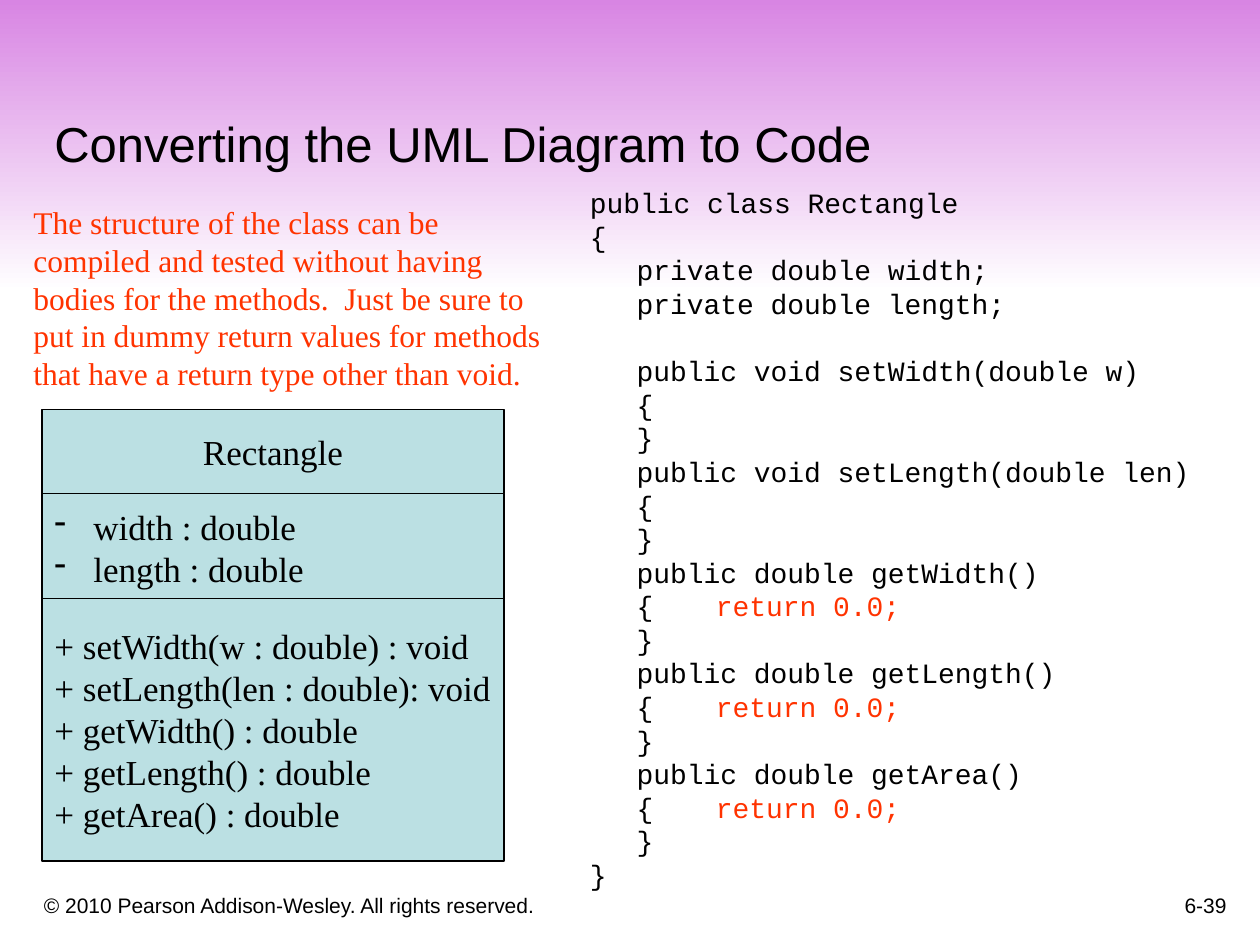
from pptx import Presentation
from pptx.dml.color import RGBColor
from pptx.enum.shapes import MSO_SHAPE
from pptx.enum.text import MSO_ANCHOR, PP_ALIGN
from pptx.oxml.xmlchemy import OxmlElement
from pptx.util import Inches, Pt

RECTANGLE = MSO_SHAPE.RECTANGLE
TOP, MIDDLE, BOTTOM = MSO_ANCHOR.TOP, MSO_ANCHOR.MIDDLE, MSO_ANCHOR.BOTTOM
LEFT, CENTER, RIGHT = PP_ALIGN.LEFT, PP_ALIGN.CENTER, PP_ALIGN.RIGHT

WIDTH, HEIGHT = Inches(10), Inches(7.5)
COLUMNS, ROWS = 120, 90
COLORS = {"violet": "D885E3", "white": "FFFFFF", "class_fill": "BBE0E3",
          "ink": "000000", "accent": "FF3300"}
SANS, SERIF, MONO = "Arial", "Times New Roman", "Courier New"
LINE_RATIO = 1.2
CODE_SIZE = 16
CODE_TABS = (0.37, 1)
DUMMY_RETURN = "return 0.0;"

UML_SECTIONS = [
    (39, 8, CENTER, False, ["Rectangle"]),
    (47, 10.3, LEFT, True, ["width : double", "length : double"]),
    (57, 25, LEFT, False, [
        "+ setWidth(w : double) : void",
        "+ setLength(len : double): void",
        "+ getWidth() : double",
        "+ getLength() : double",
        "+ getArea() : double",
    ]),
]
SETTERS = ["setWidth(double w)", "setLength(double len)"]
GETTERS = ["getWidth()", "getLength()", "getArea()"]


def rgb(color):
    return RGBColor.from_string(COLORS[color])


def area(column, row, columns, rows):
    return (int(WIDTH * column / COLUMNS), int(HEIGHT * row / ROWS),
            int(WIDTH * columns / COLUMNS), int(HEIGHT * rows / ROWS))


def add_paragraph(frame, index, align, size):
    paragraph = frame.add_paragraph() if index else frame.paragraphs[0]
    paragraph.alignment = align
    paragraph.line_spacing = Pt(size * LINE_RATIO)
    return paragraph


def add_run(paragraph, wording, font, size, color="ink"):
    run = paragraph.add_run()
    run.text = wording
    run.font.name = font
    run.font.size = Pt(size)
    run.font.color.rgb = rgb(color)


def add_dash(paragraph):
    properties = paragraph._p.get_or_add_pPr()
    properties.set("marL", str(Inches(0.31)))
    properties.set("indent", str(-Inches(0.31)))
    dash = OxmlElement("a:buChar")
    dash.set("char", "-")
    properties.append(dash)


def add_tabs(paragraph, stops):
    tab_list = OxmlElement("a:tabLst")
    for stop in stops:
        tab = OxmlElement("a:tab")
        tab.set("pos", str(Inches(stop)))
        tab.set("algn", "l")
        tab_list.append(tab)
    paragraph._p.get_or_add_pPr().append(tab_list)


def add_frame(slide, place, anchor):
    frame = slide.shapes.add_textbox(*area(*place)).text_frame
    frame.word_wrap = True
    frame.vertical_anchor = anchor
    return frame


def add_label(slide, place, wording, font, size, color="ink", align=LEFT, anchor=BOTTOM):
    frame = add_frame(slide, place, anchor)
    add_run(add_paragraph(frame, 0, align, size), wording, font, size, color)


def add_banner(slide):
    banner = slide.shapes.add_shape(RECTANGLE, *area(0, 0, COLUMNS, 27.84))
    banner.shadow.inherit = False
    banner.line.fill.background()
    banner.fill.gradient()
    banner.fill.gradient_angle = 270
    for stop, color, position in zip(banner.fill.gradient_stops, ("violet", "white"), (0, 1)):
        stop.color.rgb = rgb(color)
        stop.position = position


def add_uml_class(slide):
    diagram = slide.shapes.add_group_shape()
    for row, rows, align, dashed, members in UML_SECTIONS:
        section = diagram.shapes.add_shape(RECTANGLE, *area(4, row, 44, rows))
        section.shadow.inherit = False
        section.fill.solid()
        section.fill.fore_color.rgb = rgb("class_fill")
        section.line.color.rgb = rgb("ink")
        section.line.width = Pt(0.75)
        frame = section.text_frame
        frame.word_wrap = False
        frame.vertical_anchor = MIDDLE
        for index, member in enumerate(members):
            paragraph = add_paragraph(frame, index, align, 20)
            if dashed:
                add_dash(paragraph)
            add_run(paragraph, member, SERIF, 20)


def code_lines():
    lines = ["public class Rectangle", "{",
             "\tprivate double width;", "\tprivate double length;"]
    for setter in SETTERS:
        lines += [f"\tpublic void {setter}", "\t{", "\t}"]
    for getter in GETTERS:
        lines += [f"\tpublic double {getter}", f"\t{{\t{DUMMY_RETURN}", "\t}"]
    return lines + ["}"]


def add_code(slide):
    frame = add_frame(slide, (55, 17.1, 63, 71.6), TOP)
    for index, line in enumerate(code_lines()):
        paragraph = add_paragraph(frame, index, LEFT, CODE_SIZE)
        if SETTERS[0] in line:
            paragraph.space_before = Pt(CODE_SIZE * LINE_RATIO)
        add_tabs(paragraph, CODE_TABS)
        plain, dummy, _ = line.partition(DUMMY_RETURN)
        add_run(paragraph, plain, MONO, CODE_SIZE)
        if dummy:
            add_run(paragraph, dummy, MONO, CODE_SIZE, "accent")


def main():
    deck = Presentation()
    deck.slide_width, deck.slide_height = WIDTH, HEIGHT
    slide = deck.slides.add_slide(deck.slide_layouts[6])
    slide.background.fill.solid()
    slide.background.fill.fore_color.rgb = rgb("white")
    add_banner(slide)
    add_label(slide, (3, 83, 73, 5), "© 2010 Pearson Addison-Wesley. All rights reserved.", SANS, 12)
    add_label(slide, (93, 82, 25, 6), "6-39", SANS, 12, align=RIGHT)
    add_label(slide, (4, 4, 113, 13), "Converting the UML Diagram to Code", SANS, 28)
    add_uml_class(slide)
    add_code(slide)
    add_label(slide, (2, 18.75, 52.3, 19.2),
              "The structure of the class can be compiled and tested without having "
              "bodies for the methods.  Just be sure to put in dummy return values "
              "for methods that have a return type other than void.",
              SERIF, 18, "accent", anchor=TOP)
    deck.save("out.pptx")


if __name__ == "__main__":
    main()
